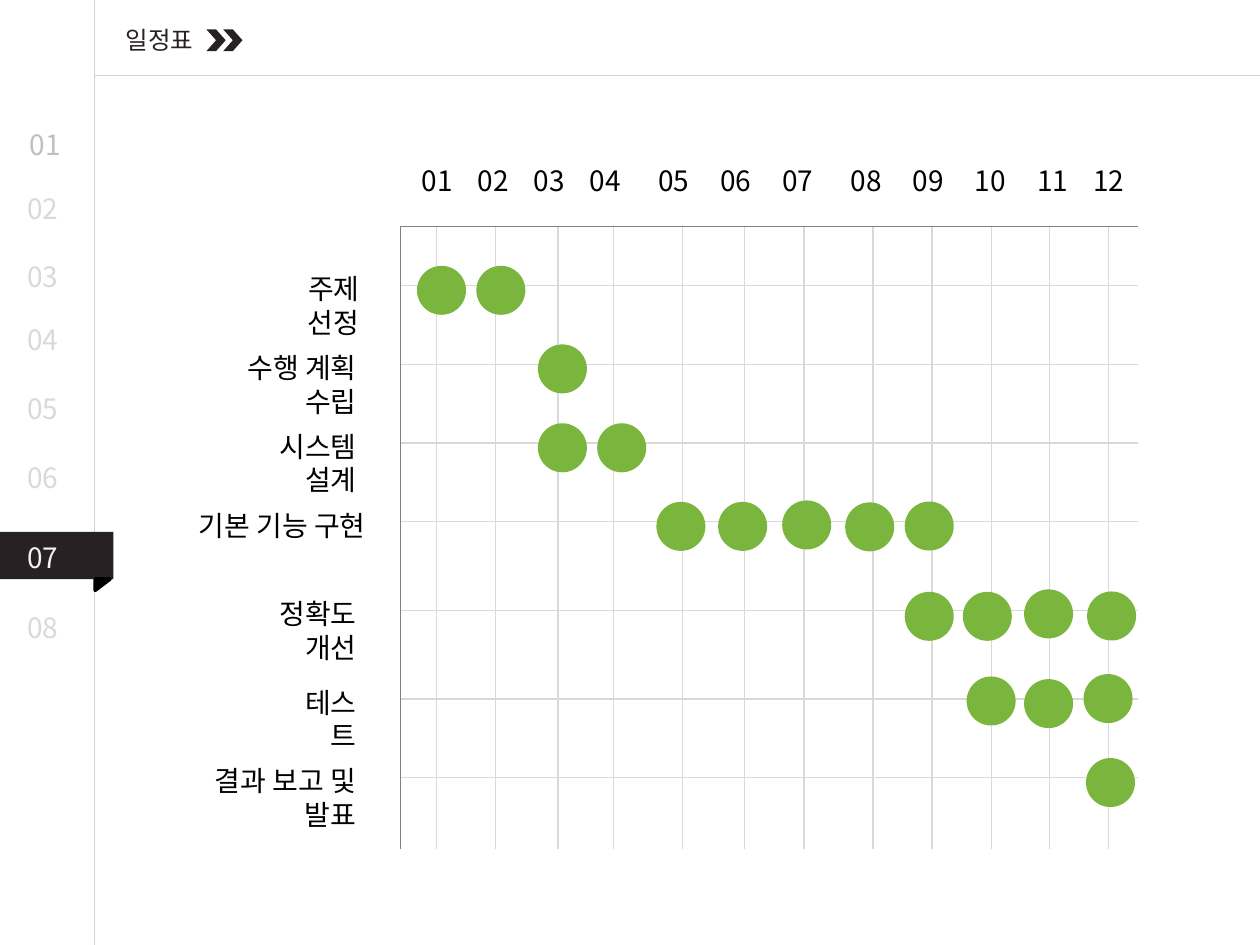
from dataclasses import dataclass
from itertools import accumulate

from lxml import etree
from pptx import Presentation, slide as sl, util as u
from pptx.dml.color import RGBColor
from pptx.enum import shapes as sh, text as tx
from pptx.oxml import ns

INK = RGBColor(0x27, 0x21, 0x23)
BLACK = RGBColor(0, 0, 0)
GREEN = RGBColor(0x7A, 0xB5, 0x3D)
FRAME = RGBColor(0xD2, 0xD2, 0xD2)
GRID = RGBColor(0xD9, 0xD9, 0xD9)
AXIS = RGBColor(0x80, 0x80, 0x80)
FIRST_NAV = RGBColor(0xBF, 0xBF, 0xBF)
ACTIVE_NAV = RGBColor(0xF2, 0xF2, 0xF2)
LEFT, RIGHT = tx.PP_ALIGN.LEFT, tx.PP_ALIGN.RIGHT
SHAPE = sh.MSO_SHAPE


@dataclass
class Painter:
    slide: sl.Slide
    font: str = "Noto Sans CJK KR"
    size: float = 16
    stroke: float = 0.75

    def line(self, x1, y1, x2, y2, color):
        rule = self.slide.shapes.add_connector(
            sh.MSO_CONNECTOR.STRAIGHT, u.Pt(x1), u.Pt(y1), u.Pt(x2), u.Pt(y2))
        rule.line.color.rgb = color
        rule.line.width = u.Pt(self.stroke)
        etree.SubElement(rule._element.spPr, ns.qn("a:effectLst"))

    def shape(self, kind, x, y, w, h, fill, border=None, rotation=0):
        item = self.slide.shapes.add_shape(
            kind, u.Pt(x), u.Pt(y), u.Pt(w), u.Pt(h))
        item.shadow.inherit = False
        item.fill.solid()
        item.fill.fore_color.rgb = fill
        item.rotation = rotation
        if border:
            item.line.color.rgb = fill
            item.line.width = u.Pt(border)
        else:
            item.line.fill.background()

    def text(self, words, x, y, w, color, align=LEFT, size=None, tabs=()):
        box = self.slide.shapes.add_textbox(
            u.Pt(x), u.Pt(y), u.Pt(w), u.Pt(26.6))
        box.text_frame.word_wrap = True
        paragraph = box.text_frame.paragraphs[0]
        paragraph.alignment = align
        if tabs:
            stops = etree.SubElement(
                paragraph._p.get_or_add_pPr(), ns.qn("a:tabLst"))
            for stop in tabs:
                etree.SubElement(stops, ns.qn("a:tab"),
                                 pos=str(int(u.Pt(stop))), algn="l")
        run = paragraph.add_run()
        run.text = words
        run.font.name = self.font
        run.font.size = u.Pt(size or self.size)
        run.font.color.rgb = color
        fonts = run._r.get_or_add_rPr()
        etree.SubElement(fonts, ns.qn("a:ea"), typeface=self.font)


MONTH_LINES = (249.6, 283, 318.8, 350.6, 390, 425.4,
               459.4, 498.8, 532.6, 566.4, 599.8, 633.6)
MONTH_GAPS = (32, 32, 32, 39, 35.5, 35.5, 39, 35.5, 35.5, 35.5, 32)
CHART_LEFT, CHART_TOP, CHART_RIGHT, CHART_BOTTOM = 228.7, 129.5, 650.5, 485.2
DOT = 28

TASKS = (
    ("주제 선정", 163.3, 212.4, 75.6, ((238.3, 151.9), (272.2, 151.9))),
    ("수행 계획 수립", 208.2, 210.8, 108, ((307.4, 196.8),)),
    ("시스템 설계", 253.2, 210.8, 90, ((307.4, 241.9), (341.3, 241.9))),
    ("기본 기능 구현", 298.2, 216, 142.6,
     ((375.1, 286.8), (410.4, 286.8), (447, 286),
      (483, 287.1), (517, 286.6))),
    ("정확도 개선", 348.9, 210.8, 90,
     ((517, 338.2), (550.2, 338.2), (585.2, 336.8), (621.2, 338))),
    ("테스트", 399.5, 210.8, 57.6,
     ((552.4, 386.6), (585.2, 388.1), (619.2, 385.2))),
    ("결과 보고 및 발표", 444.4, 210.4, 126, ((620.6, 433.2),)),
)
NAV_TOPS = (69.1, 105.8, 144.7, 180.7, 220.3, 259.9, 305.3, 345.6)
ACTIVE = 7


def draw_header(page):
    page.line(54, 0, 54, 540, FRAME)
    page.line(54.5, 43, 720, 43, FRAME)
    page.text("일정표", 64.8, 10.8, 121, INK, size=14)
    for x in (118, 127.6):
        page.shape(SHAPE.CHEVRON, x, 16.8, 11, 12.4, INK)


def draw_chart(page):
    for x in MONTH_LINES:
        page.line(x, CHART_TOP, x, CHART_BOTTOM, GRID)
    for _, y, *_ in TASKS:
        page.line(CHART_LEFT, y, CHART_RIGHT, y, GRID)
    page.line(CHART_LEFT, CHART_TOP, CHART_LEFT, CHART_BOTTOM, AXIS)
    page.line(CHART_LEFT, CHART_TOP, CHART_RIGHT, CHART_TOP, AXIS)
    months = "\t".join(f"{month:02d}" for month in range(1, 13))
    page.text(months, 234, 90, 436, BLACK, tabs=tuple(accumulate(MONTH_GAPS)))
    for name, y, right, width, dots in TASKS:
        page.text(name, right - width, y - 11.4, width, BLACK, RIGHT)
        for x, top in dots:
            page.shape(SHAPE.OVAL, x, top, DOT, DOT, GREEN)


def draw_navigation(page):
    page.shape(SHAPE.RECTANGLE, 0, 304, 64.8, 27, INK)
    page.shape(SHAPE.RIGHT_TRIANGLE, 55.4, 329.8, 6.5, 8.6, BLACK, 2, 90)
    colors = {1: FIRST_NAV, ACTIVE: ACTIVE_NAV}
    for number, top in enumerate(NAV_TOPS, 1):
        x = 9.8 if number == 1 else 8.6
        page.text(f"{number:02d}", x, top, 38, colors.get(number, GRID))


def main():
    deck = Presentation()
    deck.slide_width, deck.slide_height = u.Pt(720), u.Pt(540)
    page = Painter(deck.slides.add_slide(deck.slide_layouts[6]))
    draw_header(page)
    draw_chart(page)
    draw_navigation(page)
    deck.save("out.pptx")


if __name__ == "__main__":
    main()
